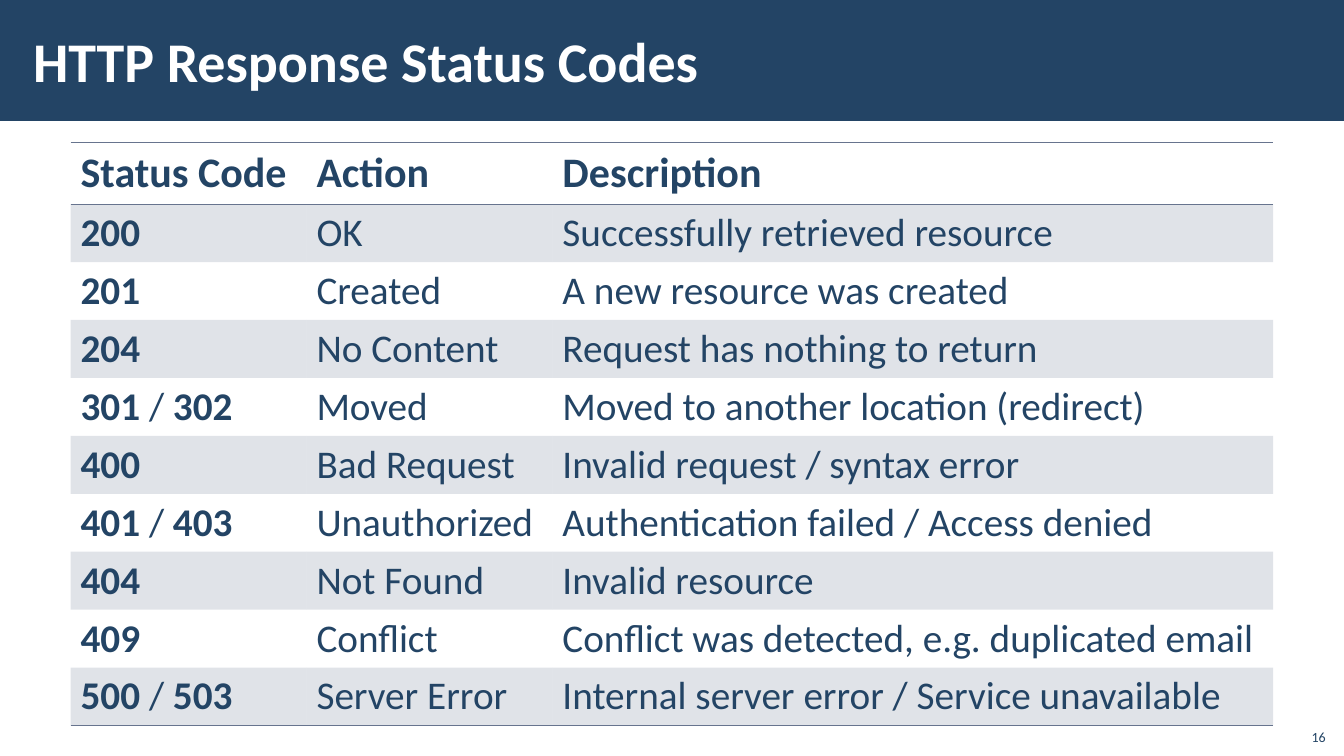
from dataclasses import dataclass

from lxml.etree import SubElement
from pptx import Presentation
from pptx.dml.color import RGBColor
from pptx.enum.shapes import MSO_SHAPE
from pptx.enum.text import MSO_ANCHOR, PP_ALIGN
from pptx.oxml.ns import qn
from pptx.util import Pt


@dataclass(frozen=True)
class Theme:
    font: str = "Calibri"
    navy: str = "234465"
    slate: str = "67748E"
    white: str = "FFFFFF"
    band_opacity: int = 20
    title_size: int = 40
    header_size: int = 30
    body_size: int = 28
    number_size: int = 10


PLAIN_TABLE_STYLE = "{2D5ABB26-0587-4C30-8999-92F81FD0307C}"
COLUMN_WIDTHS = (168.5, 175.7, 514.8)
HEADER_HEIGHT, ROW_HEIGHT = 43.8, 41.4
STATUS_CODES = [
    ("Status Code", "Action", "Description"),
    ("200", "OK", "Successfully retrieved resource"),
    ("201", "Created", "A new resource was created"),
    ("204", "No Content", "Request has nothing to return"),
    ("301 / 302", "Moved", "Moved to another location (redirect)"),
    ("400", "Bad Request", "Invalid request / syntax error"),
    ("401 / 403", "Unauthorized", "Authentication failed / Access denied"),
    ("404", "Not Found", "Invalid resource"),
    ("409", "Conflict", "Conflict was detected, e.g. duplicated email"),
    ("500 / 503", "Server Error", "Internal server error / Service unavailable"),
]


class SlideBuilder:
    def __init__(self, page, theme):
        self.page = page
        self.theme = theme

    def style(self, paragraph, size, color, bold=None):
        font = paragraph.font
        font.name = self.theme.font
        font.size = Pt(size)
        font.color.rgb = RGBColor.from_string(color)
        font.bold = bold

    def banner(self, left, top, width, height):
        bar = self.page.shapes.add_shape(
            MSO_SHAPE.RECTANGLE, Pt(left), Pt(top), Pt(width), Pt(height))
        bar.shadow.inherit = False
        bar.fill.solid()
        bar.fill.fore_color.rgb = RGBColor.from_string(self.theme.navy)
        bar.line.fill.background()

    def text(self, content, left, top, width, height, size, color,
             bold=False, align=PP_ALIGN.LEFT, anchor=MSO_ANCHOR.MIDDLE, inset=7.2):
        box = self.page.shapes.add_textbox(Pt(left), Pt(top), Pt(width), Pt(height))
        frame = box.text_frame
        frame.word_wrap = True
        frame.vertical_anchor = anchor
        frame.margin_left = frame.margin_right = Pt(inset)
        paragraph = frame.paragraphs[0]
        paragraph.text = content
        paragraph.alignment = align
        self.style(paragraph, size, color, bold)

    def border(self, cell, side):
        """Draw a thin rule on one side of a cell: "T" or "B"."""
        line = SubElement(cell._tc.get_or_add_tcPr(), qn(f"a:ln{side}"), w=str(Pt(1)))
        fill = SubElement(line, qn("a:solidFill"))
        SubElement(fill, qn("a:srgbClr"), val=self.theme.slate)

    def band(self, cell):
        cell.fill.solid()
        cell.fill.fore_color.rgb = RGBColor.from_string(self.theme.slate)
        color = cell._tc.tcPr.find(qn("a:solidFill")).find(qn("a:srgbClr"))
        SubElement(color, qn("a:alpha"), val=str(self.theme.band_opacity * 1000))

    def cell_text(self, cell, content, size, bold):
        """Write a cell; the slash between two bold codes stays regular."""
        paragraph = cell.text_frame.paragraphs[0]
        if bold and "/" in content:
            first, slash, second = content.partition("/")
            for part in (first, slash, second):
                span = paragraph.add_run()
                span.text = part
                span.font.bold = part != slash
            self.style(paragraph, size, self.theme.navy)
        else:
            paragraph.text = content
            self.style(paragraph, size, self.theme.navy, bold)

    def table(self, rows, left, top):
        heights = [HEADER_HEIGHT] + [ROW_HEIGHT] * (len(rows) - 1)
        frame = self.page.shapes.add_table(
            len(rows), len(COLUMN_WIDTHS), Pt(left), Pt(top),
            Pt(sum(COLUMN_WIDTHS)), Pt(sum(heights)))
        table = frame.table
        table._tbl.tblPr.find(qn("a:tableStyleId")).text = PLAIN_TABLE_STYLE
        for column, width in zip(table.columns, COLUMN_WIDTHS):
            column.width = Pt(width)
        for index, (row, height, values) in enumerate(zip(table.rows, heights, rows)):
            row.height = Pt(height)
            header = index == 0
            size = self.theme.header_size if header else self.theme.body_size
            for position, (cell, value) in enumerate(zip(row.cells, values)):
                self.cell_text(cell, value, size, header or position == 0)
                if header:
                    self.border(cell, "T")
                if header or index == len(rows) - 1:
                    self.border(cell, "B")
                if index % 2:
                    self.band(cell)
                else:
                    cell.fill.background()


def main():
    deck = Presentation()
    deck.slide_width, deck.slide_height = Pt(960), Pt(540)
    theme = Theme()
    builder = SlideBuilder(deck.slides.add_slide(deck.slide_layouts[6]), theme)
    builder.banner(0, 0, 960, 86.4)
    builder.text("HTTP Response Status Codes", 15, 8, 765, 70,
                 theme.title_size, theme.white, bold=True, inset=8.64)
    builder.table(STATUS_CODES, 50.4, 102)
    builder.text("16", 925, 512.6, 29, 23, theme.number_size, theme.navy,
                 align=PP_ALIGN.RIGHT, anchor=MSO_ANCHOR.BOTTOM)
    deck.save("out.pptx")


if __name__ == "__main__":
    main()
